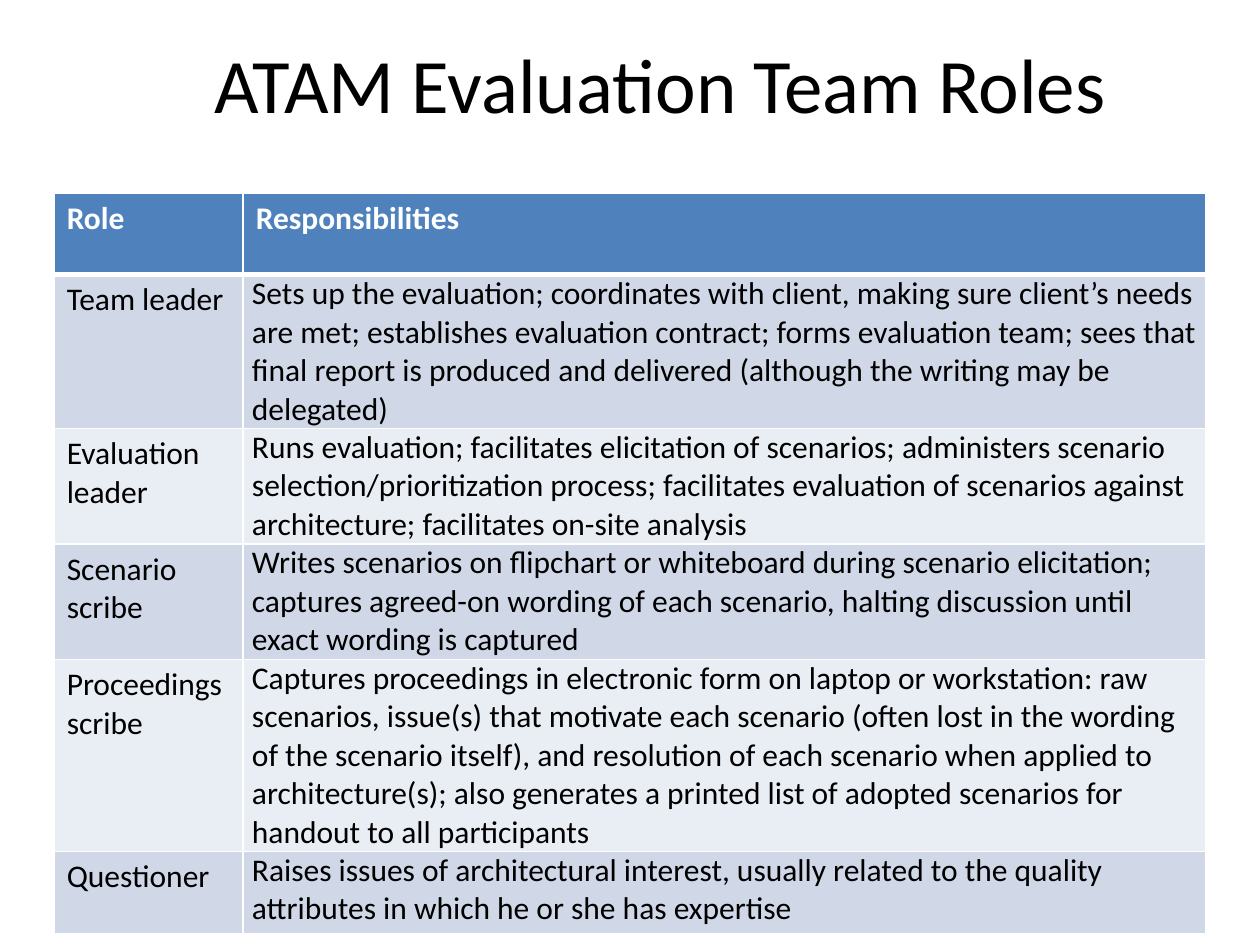
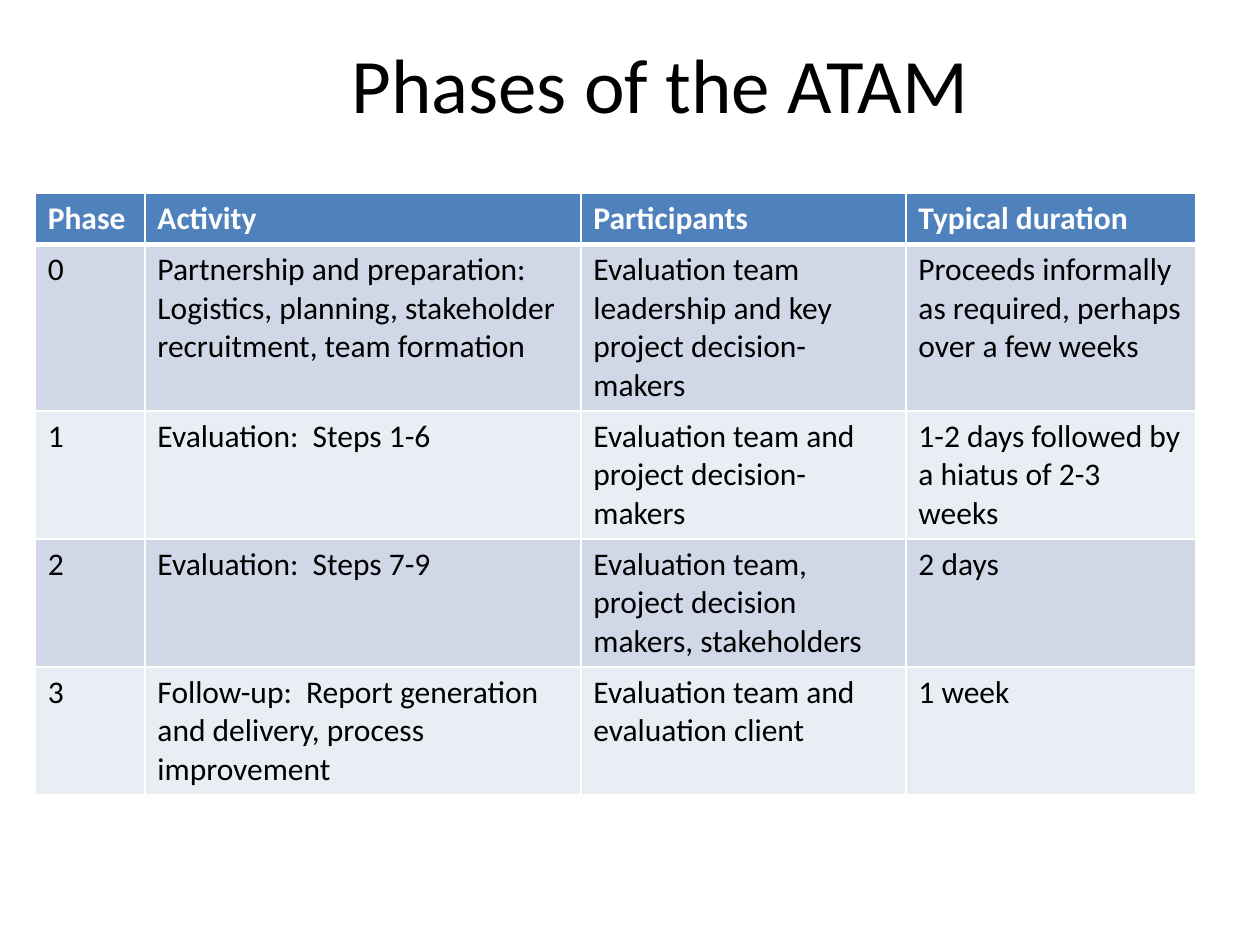
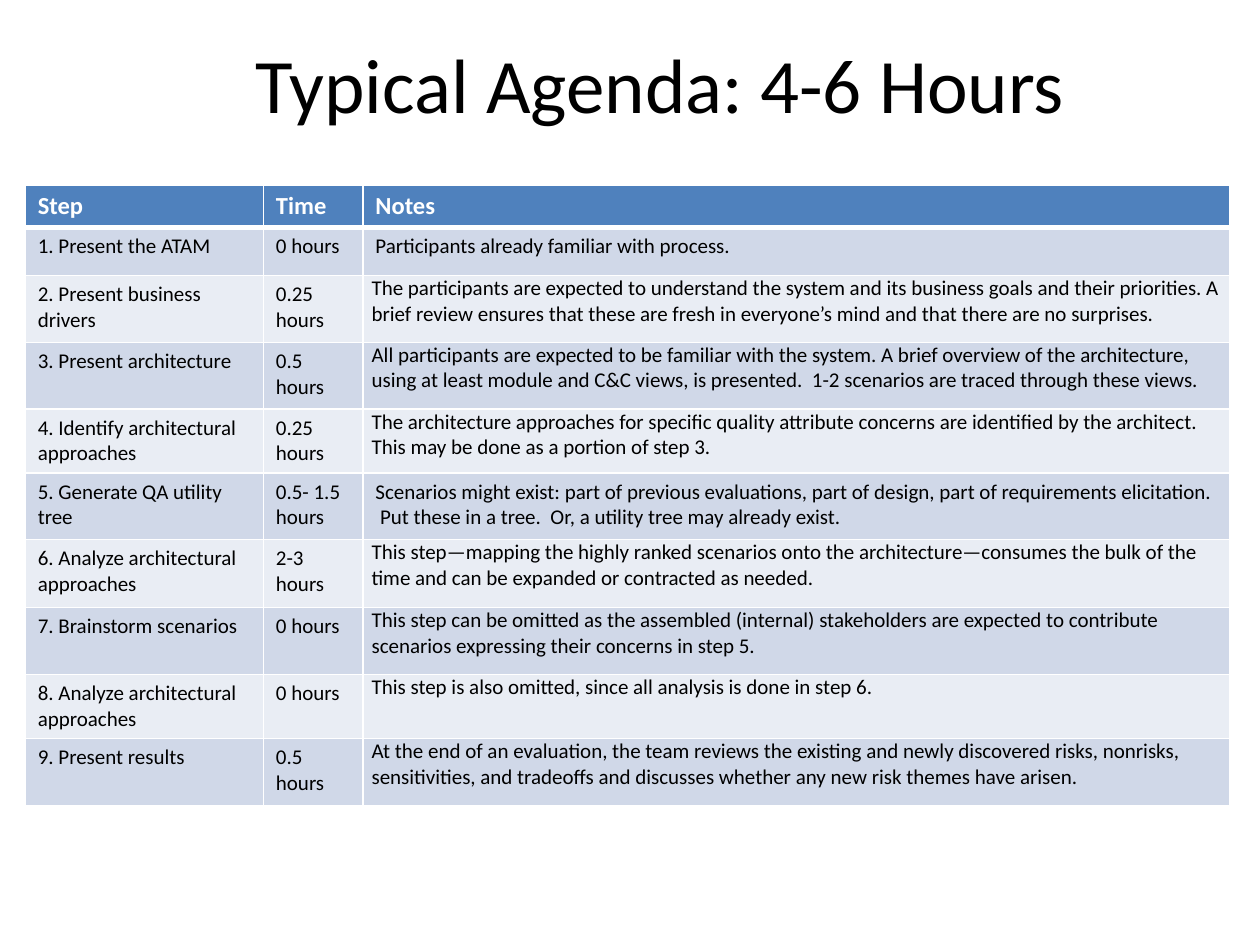
from lxml.etree import SubElement
from pptx import Presentation
from pptx.dml.color import RGBColor
from pptx.enum.text import MSO_ANCHOR, PP_ALIGN
from pptx.oxml.ns import qn
from pptx.util import Inches, Pt

COLORS = {
    "header": "4F81BD",
    "band_dark": "D0D8E8",
    "band_light": "E9EDF4",
    "border": "FFFFFF",
    "header_text": "FFFFFF",
    "text": "000000",
}
FONT = "Calibri"
GRID = Inches(0.1)  # the slide is 100 columns by 75 rows
TITLE_BOX = {"left": 9.8, "top": 3, "width": 85.2, "height": 8.5}
TIGHT_MARGINS = {"margin_left": 0.7, "margin_right": 0.7, "margin_top": 0, "margin_bottom": 0}

# "roomy" lists the body rows whose last cell keeps the default margins.
PAGES = [
    {
        "title": "ATAM Evaluation Team Roles",
        "left": 4.3, "top": 15.3,
        "columns": [15, 76.4],
        "rows": [6.5, 9.6, 7.2, 7.2, 14.4, 6.5],
        "header_size": 18, "body_size": 18,
        "roomy": [],
        "cells": [
            ["Role", "Responsibilities"],
            ["Team leader",
             "Sets up the evaluation; coordinates with client, making sure client’s needs are met; "
             "establishes evaluation contract; forms evaluation team; sees that final report is "
             "produced and delivered (although the writing may be delegated)"],
            ["Evaluation leader",
             "Runs evaluation; facilitates elicitation of scenarios; administers scenario "
             "selection/prioritization process; facilitates evaluation of scenarios against "
             "architecture; facilitates on-site analysis"],
            ["Scenario scribe",
             "Writes scenarios on flipchart or whiteboard during scenario elicitation; captures "
             "agreed-on wording of each scenario, halting discussion until exact wording is captured"],
            ["Proceedings scribe",
             "Captures proceedings in electronic form on laptop or workstation: raw scenarios, "
             "issue(s) that motivate each scenario (often lost in the wording of the scenario "
             "itself), and resolution of each scenario when applied to architecture(s); also "
             "generates a printed list of adopted scenarios for handout to all participants"],
            ["Questioner",
             "Raises issues of architectural interest, usually related to the quality attributes "
             "in which he or she has expertise"],
        ],
    },
    {
        "title": "Phases of the ATAM",
        "left": 2.8, "top": 15.3,
        "columns": [8.7, 34.6, 25.8, 23],
        "rows": [4.1] * 5,
        "header_size": 18, "body_size": 18,
        "roomy": [1, 2, 3, 4],
        "cells": [
            ["Phase", "Activity", "Participants", "Typical duration"],
            ["0", "Partnership and preparation:  Logistics, planning, stakeholder recruitment, team formation",
             "Evaluation team leadership and key project decision-makers",
             "Proceeds informally as required, perhaps over a few weeks"],
            ["1", "Evaluation:  Steps 1-6", "Evaluation team and project decision-makers",
             "1-2 days followed by a hiatus of 2-3 weeks"],
            ["2", "Evaluation:  Steps 7-9", "Evaluation team, project decision makers, stakeholders",
             "2 days"],
            ["3", "Follow-up:  Report generation and delivery, process improvement",
             "Evaluation team and evaluation client", "1 week"],
        ],
    },
    {
        "title": "Typical Agenda: 4-6 Hours",
        "left": 2, "top": 14.7,
        "columns": [18.9, 7.9, 68.8],
        "rows": [3.3, 3.8, 5.3, 5.3, 5, 5.3, 5.4, 5.3, 5.1, 5.3],
        "header_size": 14, "body_size": 12,
        "roomy": [1, 5],
        "cells": [
            ["Step", "Time", "Notes"],
            ["1. Present the ATAM", "0 hours", "Participants already familiar with process."],
            ["2. Present business drivers", "0.25 hours",
             "The participants are expected to understand the system and its business goals and "
             "their priorities. A brief review ensures that these are fresh in everyone’s mind and "
             "that there are no surprises."],
            ["3. Present architecture", "0.5 hours",
             "All participants are expected to be familiar with the system. A brief overview of the "
             "architecture, using at least module and C&C views, is presented.  1-2 scenarios are "
             "traced through these views."],
            ["4. Identify architectural approaches", "0.25 hours",
             "The architecture approaches for specific quality attribute concerns are identified by "
             "the architect. This may be done as a portion of step 3."],
            ["5. Generate QA utility tree", "0.5- 1.5 hours",
             "Scenarios might exist: part of previous evaluations, part of design, part of "
             "requirements elicitation.  Put these in a tree.  Or, a utility tree may already exist."],
            ["6. Analyze architectural approaches", "2-3 hours",
             "This step—mapping the highly ranked scenarios onto the architecture—consumes the bulk "
             "of the time and can be expanded or contracted as needed."],
            ["7. Brainstorm scenarios", "0 hours",
             "This step can be omitted as the assembled (internal) stakeholders are expected to "
             "contribute scenarios expressing their concerns in step 5."],
            ["8. Analyze architectural approaches", "0 hours",
             "This step is also omitted, since all analysis is done in step 6."],
            ["9. Present results", "0.5 hours",
             "At the end of an evaluation, the team reviews the existing and newly discovered risks, "
             "nonrisks, sensitivities, and tradeoffs and discusses whether any new risk themes have "
             "arisen."],
        ],
    },
]


def set_borders(cell, widths):
    """Draw the cell's edges; widths maps L, R, T and B, in that order, to points."""
    properties = cell._tc.get_or_add_tcPr()
    for side, width in widths.items():
        line = SubElement(properties, qn(f"a:ln{side}"), w=str(Pt(width)))
        fill = SubElement(line, qn("a:solidFill"))
        SubElement(fill, qn("a:srgbClr"), val=COLORS["border"])


def format_font(font, size, color, bold=False):
    for name, value in {"name": FONT, "size": Pt(size), "bold": bold}.items():
        setattr(font, name, value)
    font.color.rgb = RGBColor.from_string(COLORS[color])


deck = Presentation()
deck.slide_width, deck.slide_height = 100 * GRID, 75 * GRID

for content in PAGES:
    page = deck.slides.add_slide(deck.slide_layouts[5])

    title = page.shapes.title
    for name, value in TITLE_BOX.items():
        setattr(title, name, int(value * GRID))
    title.text_frame.text = content["title"]
    title.text_frame.vertical_anchor = MSO_ANCHOR.MIDDLE
    para = title.text_frame.paragraphs[0]
    para.alignment = PP_ALIGN.CENTER
    para.line_spacing = 0.8
    format_font(para.runs[0].font, 44, "text")

    columns, rows = content["columns"], content["rows"]
    frame = [content["left"], content["top"], sum(columns), sum(rows)]
    table = page.shapes.add_table(
        len(rows), len(columns), *[int(length * GRID) for length in frame]).table
    for column, width in zip(table.columns, columns):
        column.width = int(width * GRID)
    for row, height in zip(table.rows, rows):
        row.height = int(height * GRID)

    for row_index, texts in enumerate(content["cells"]):
        is_header = row_index == 0
        if is_header:
            fill, text_color, size = "header", "header_text", content["header_size"]
        else:
            fill = "band_dark" if row_index % 2 else "band_light"
            text_color, size = "text", content["body_size"]
        widths = {"L": 1, "R": 1, "T": 3 if row_index == 1 else 1, "B": 3 if is_header else 1}

        for column_index, text in enumerate(texts):
            cell = table.cell(row_index, column_index)
            cell.text = text
            set_borders(cell, widths)
            cell.fill.solid()
            cell.fill.fore_color.rgb = RGBColor.from_string(COLORS[fill])
            format_font(cell.text_frame.paragraphs[0].runs[0].font, size, text_color, is_header)
            is_last = column_index == len(columns) - 1
            if is_last and not is_header and row_index not in content["roomy"]:
                for name, value in TIGHT_MARGINS.items():
                    setattr(cell, name, int(value * GRID))

deck.save("out.pptx")
